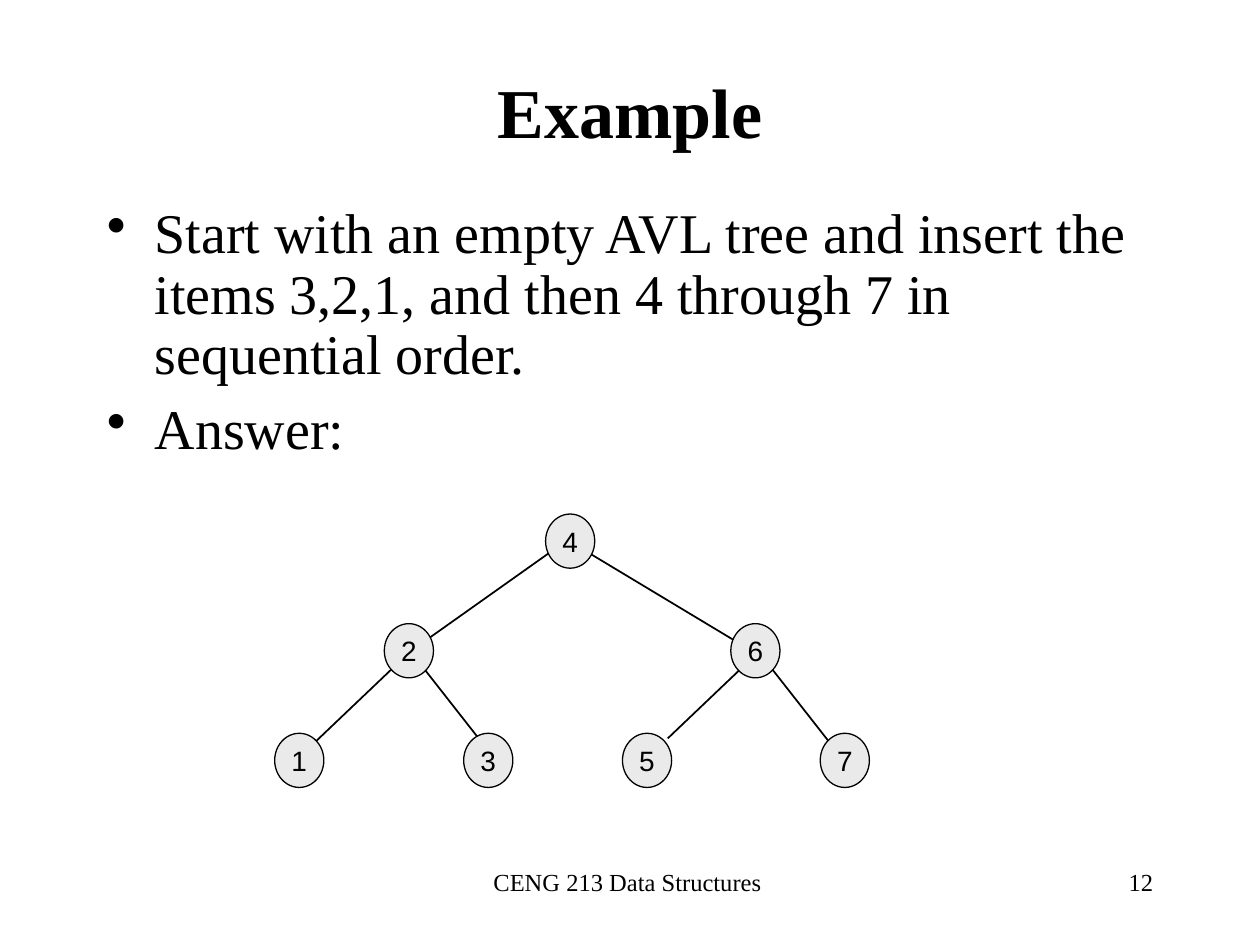
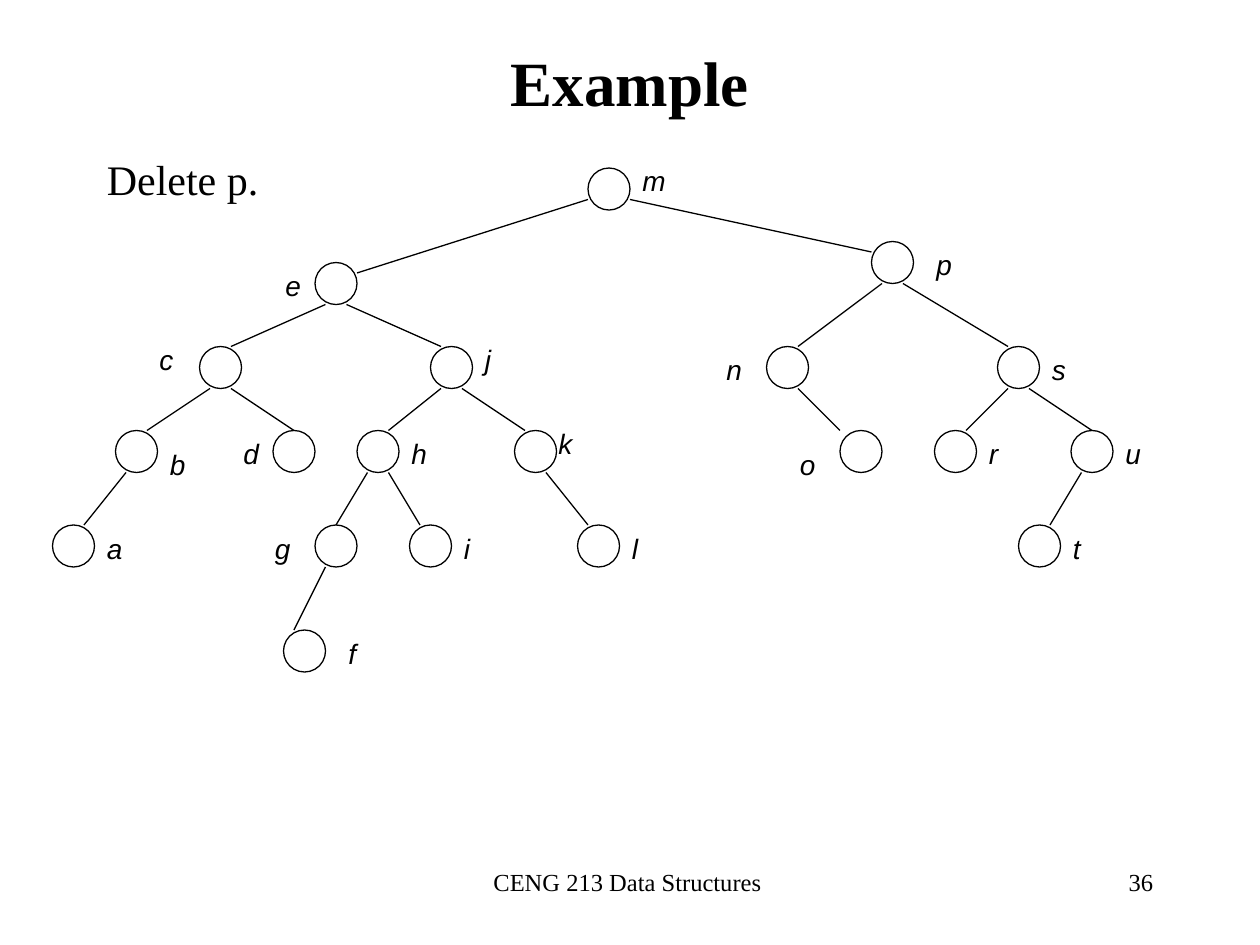
"""Build two slides about AVL trees."""
from dataclasses import dataclass

from lxml import etree
from pptx import Presentation
from pptx.dml.color import RGBColor
from pptx.enum.shapes import MSO_CONNECTOR, MSO_SHAPE
from pptx.enum.text import MSO_ANCHOR, PP_ALIGN
from pptx.oxml.ns import qn
from pptx.slide import Slide
from pptx.text.text import TextFrame, _Paragraph
from pptx.util import Inches, Pt

STRAIGHT = MSO_CONNECTOR.STRAIGHT
OVAL = MSO_SHAPE.OVAL
TOP, MIDDLE = MSO_ANCHOR.TOP, MSO_ANCHOR.MIDDLE
LEFT, CENTER, RIGHT = PP_ALIGN.LEFT, PP_ALIGN.CENTER, PP_ALIGN.RIGHT

INK, GRAY = "000000", "EAEAEA"
SERIF, SANS = "Times New Roman", "Arial"
BLANK = 6
STEP = 1 / 12
RADIUS = 2
HANG = 0.38


@dataclass(frozen=True)
class Style:
    """Look of a piece of text."""
    size: int
    font: str = SERIF
    bold: bool = False
    italic: bool = False
    align: PP_ALIGN = LEFT
    anchor: MSO_ANCHOR = TOP


@dataclass(frozen=True)
class Box:
    """Place on a slide, in inches."""
    left: float
    top: float
    width: float
    height: float


@dataclass(frozen=True)
class Edge:
    """Line between two points, in inches."""
    x1: float
    y1: float
    x2: float
    y2: float


@dataclass(frozen=True)
class Key:
    """Numbered tree node with its corner, in inches."""
    text: str
    left: float
    top: float


@dataclass(frozen=True)
class Node:
    """Lettered tree node: centre and label corner in grid steps."""
    name: str
    col: int
    row: int
    label_col: int
    label_row: int
    parent: str = ""
    gap: int = 1


FOOT = Style(14, align=CENTER)
NUMBER = Style(14, align=RIGHT)
BODY = Style(32)
TASK = Style(24)
LABEL = Style(16, SANS, italic=True)
DIGIT = Style(16, SANS, align=CENTER, anchor=MIDDLE)

POINTS = [
    "Start with an empty AVL tree and insert the items 3,2,1, "
    "and then 4 through 7 in sequential order.",
    "Answer:",
]

KEYS = [
    Key("4", 4.33, 4.08),
    Key("2", 3.05, 4.95), Key("6", 5.8, 4.95),
    Key("1", 2.18, 5.82), Key("3", 3.68, 5.82),
    Key("5", 4.94, 5.82), Key("7", 6.51, 5.82),
]

EDGES = [
    Edge(3.2, 5.21, 4.54, 4.26), Edge(4.46, 4.26, 6.04, 5.21),
    Edge(3.12, 5.3, 2.49, 5.9), Edge(3.36, 5.3, 3.83, 5.9),
    Edge(5.93, 5.26, 5.3, 5.86), Edge(6.12, 5.3, 6.59, 5.9),
]

NODES = [
    Node("m", 58, 18, 60, 15),
    Node("e", 32, 27, 26, 25, "m"),
    Node("p", 85, 25, 88, 23, "m"),
    Node("c", 21, 35, 14, 32, "e"),
    Node("j", 43, 35, 45, 32, "e"),
    Node("n", 75, 35, 68, 33, "p"),
    Node("s", 97, 35, 99, 33, "p"),
    Node("b", 13, 43, 15, 42, "c"),
    Node("d", 28, 43, 22, 41, "c", 0),
    Node("h", 36, 43, 38, 41, "j"),
    Node("k", 51, 43, 52, 40, "j"),
    Node("o", 82, 43, 75, 42, "n", 2),
    Node("r", 91, 43, 93, 41, "s"),
    Node("u", 104, 43, 106, 41, "s", 0),
    Node("a", 7, 52, 9, 50, "b"),
    Node("g", 32, 52, 25, 50, "h", 0),
    Node("i", 41, 52, 43, 50, "h"),
    Node("l", 57, 52, 59, 50, "k"),
    Node("t", 99, 52, 101, 50, "u"),
    Node("f", 29, 62, 32, 60, "g", -1),
]


def color(code: str) -> RGBColor:
    """Turn a hex string into a colour."""
    return RGBColor.from_string(code)


def add_run(para: _Paragraph, text: str, style: Style) -> None:
    """Add one styled run to a paragraph."""
    para.alignment = style.align
    run = para.add_run()
    run.text = text
    font = run.font
    font.name, font.size = style.font, Pt(style.size)
    font.bold, font.italic = style.bold, style.italic
    font.color.rgb = color(INK)


def add_text(slide: Slide, box: Box, style: Style, text: str = "") -> TextFrame:
    """Add a text box, with one line of text if given."""
    shape = slide.shapes.add_textbox(Inches(box.left), Inches(box.top),
                                     Inches(box.width), Inches(box.height))
    frame = shape.text_frame
    frame.word_wrap = True
    frame.vertical_anchor = style.anchor
    if text:
        add_run(frame.paragraphs[0], text, style)
    return frame


def add_bullet(para: _Paragraph) -> None:
    """Give a paragraph a hanging bullet."""
    props = para._p.get_or_add_pPr()
    props.set("marL", str(Inches(HANG)))
    props.set("indent", str(-Inches(HANG)))
    tint = etree.SubElement(props, qn("a:buClr"))
    etree.SubElement(tint, qn("a:srgbClr"), val=INK)
    etree.SubElement(props, qn("a:buChar"), char="•")


def add_points(slide: Slide, box: Box, points: list[str]) -> None:
    """Add the bulleted body text."""
    frame = add_text(slide, box, BODY)
    for index, text in enumerate(points):
        para = frame.add_paragraph() if index else frame.paragraphs[0]
        add_bullet(para)
        para.line_spacing = 0.9
        if index:
            para.space_before = Pt(8)
        add_run(para, text, BODY)


def add_edge(slide: Slide, edge: Edge, width: float) -> None:
    """Draw a line without a shadow."""
    line = slide.shapes.add_connector(STRAIGHT, Inches(edge.x1), Inches(edge.y1),
                                      Inches(edge.x2), Inches(edge.y2))
    line.line.color.rgb = color(INK)
    line.line.width = Pt(width)
    etree.SubElement(line._element.spPr, qn("a:effectLst"))


def add_oval(slide: Slide, box: Box, fill: str = "", text: str = "") -> None:
    """Draw a tree node, filled and numbered if asked."""
    oval = slide.shapes.add_shape(OVAL, Inches(box.left), Inches(box.top),
                                  Inches(box.width), Inches(box.height))
    oval.shadow.inherit = False
    oval.line.color.rgb = color(INK)
    oval.line.width = Pt(0.75)
    if fill:
        oval.fill.solid()
        oval.fill.fore_color.rgb = color(fill)
    else:
        oval.fill.background()
    if text:
        frame = oval.text_frame
        frame.word_wrap = False
        frame.vertical_anchor = DIGIT.anchor
        add_run(frame.paragraphs[0], text, DIGIT)


def link(parent: Node, child: Node) -> Edge:
    """Find the line from a parent to its child."""
    side = 1 if child.col > parent.col else -1
    if parent.parent:
        out, down, back, up = 1, RADIUS, child.gap, RADIUS
    elif child.parent == parent.name:
        out, down, back, up = RADIUS, 1, RADIUS, 1
    if parent.name in ("e", "p"):
        out, down = 1, RADIUS
    return Edge((parent.col + side * out) * STEP, (parent.row + down) * STEP,
                (child.col - side * back) * STEP, (child.row - up) * STEP)


def add_slide(deck: Presentation, number: str, size: int, height: float) -> Slide:
    """Add a slide with the shared title and footer."""
    slide = deck.slides.add_slide(deck.slide_layouts[BLANK])
    add_text(slide, Box(3.42, 6.83, 3.17, 0.5), FOOT, "CENG 213 Data Structures ")
    add_text(slide, Box(7.17, 6.83, 2.08, 0.5), NUMBER, number)
    title = Style(size, bold=True, align=CENTER, anchor=MIDDLE)
    add_text(slide, Box(0.75, 0.42, 8.5, height), title, "Example")
    return slide


def add_insert(deck: Presentation) -> None:
    """Build the slide on insertion."""
    slide = add_slide(deck, "12", 40, 0.92)
    add_points(slide, Box(0.75, 1.58, 8.5, 2.33), POINTS)
    for edge in EDGES:
        add_edge(slide, edge, 1)
    for key in KEYS:
        add_oval(slide, Box(key.left, key.top, 0.39, 0.43), GRAY, key.text)


def add_delete(deck: Presentation) -> None:
    """Build the slide on deletion."""
    slide = add_slide(deck, "36", 36, 0.45)
    names = {node.name: node for node in NODES}
    wide = 2 * RADIUS * STEP
    for node in NODES:
        add_oval(slide, Box((node.col - RADIUS) * STEP,
                            (node.row - RADIUS) * STEP, wide, wide))
    for node in NODES:
        if node.parent:
            add_edge(slide, link(names[node.parent], node), 0.75)
    for node in NODES:
        spot = Box(node.label_col * STEP, node.label_row * STEP, 0.58, 0.37)
        add_text(slide, spot, LABEL, node.name)
    add_text(slide, Box(0.75, 1.17, 5.17, 0.5), TASK, "Delete p.")


def main() -> None:
    """Build and save the deck."""
    deck = Presentation()
    deck.slide_width, deck.slide_height = Inches(10), Inches(7.5)
    add_insert(deck)
    add_delete(deck)
    deck.save("out.pptx")


if __name__ == "__main__":
    main()
